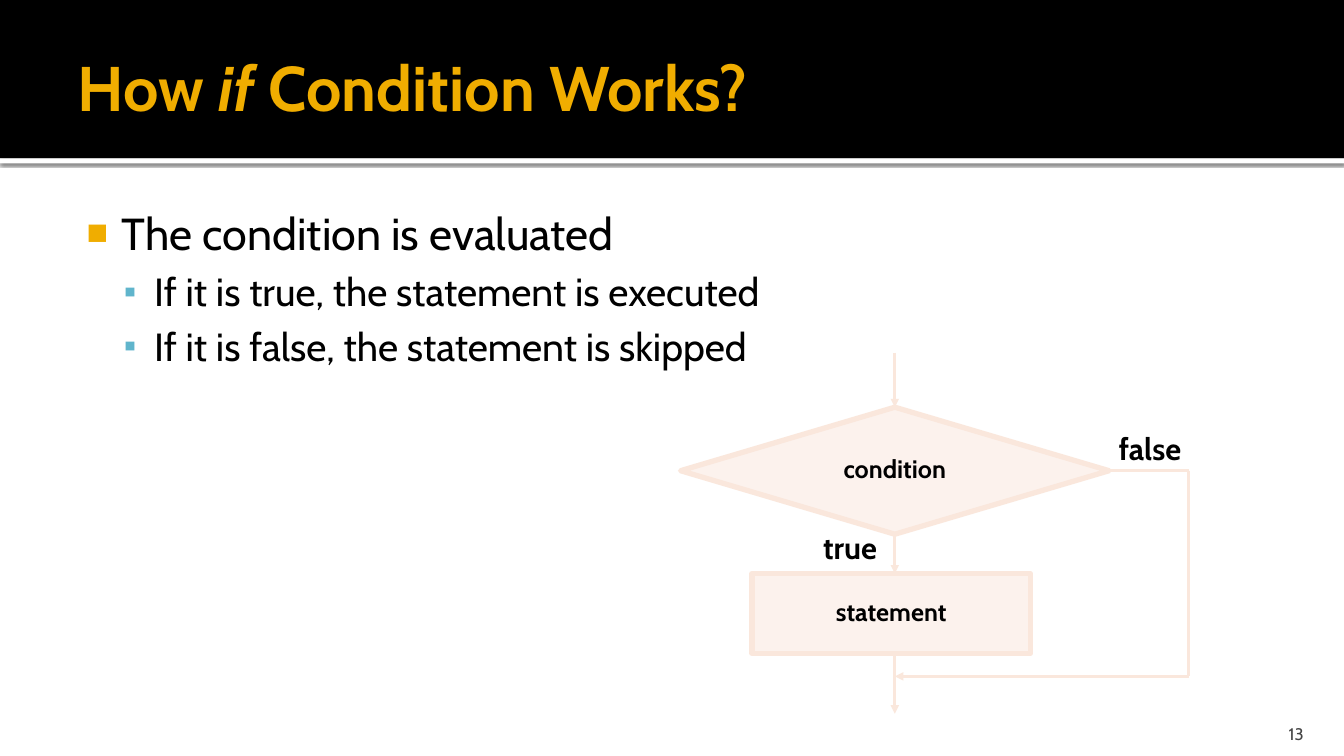
from lxml import etree
from pptx import Presentation
from pptx.dml.color import RGBColor
from pptx.enum.shapes import MSO_CONNECTOR, MSO_SHAPE
from pptx.enum.text import MSO_ANCHOR, PP_ALIGN
from pptx.oxml.ns import qn
from pptx.util import Inches, Pt

RECT = MSO_SHAPE.RECTANGLE
CHOICE = MSO_SHAPE.FLOWCHART_DECISION
LINE = MSO_CONNECTOR.STRAIGHT
TOP, MIDDLE, BOTTOM = MSO_ANCHOR.TOP, MSO_ANCHOR.MIDDLE, MSO_ANCHOR.BOTTOM
LEFT, CENTER, RIGHT = PP_ALIGN.LEFT, PP_ALIGN.CENTER, PP_ALIGN.RIGHT
FONT = "Cabin"
COLORS = {"black": "000000", "white": "FFFFFF", "gold": "F0AD00",
          "blue": "60B5CC", "peach": "FAE7DC", "gray": "454545"}


def color(name):
    return RGBColor.from_string(COLORS[name])


def add(parent, tag, **attrs):
    return etree.SubElement(parent, qn(tag), attrs)


def style(para, size, tone="black", bold=False, align=LEFT):
    para.alignment = align
    for run in para.runs:
        font = run.font
        font.name, font.size, font.bold = FONT, Pt(size), bold
        font.color.rgb = color(tone)


def frame(shape, anchor, insets=(0.1, 0.05, 0.1, 0.05)):
    text = shape.text_frame
    text.word_wrap = True
    text.vertical_anchor = anchor
    (text.margin_left, text.margin_top,
     text.margin_right, text.margin_bottom) = map(Inches, insets)
    return text


def text_box(slide, box, anchor=TOP, insets=(0.1, 0.05, 0.1, 0.05)):
    return frame(slide.shapes.add_textbox(*map(Inches, box)), anchor, insets)


def add_band(slide, box, tone):
    band = slide.shapes.add_shape(RECT, *map(Inches, box))
    band.shadow.inherit = False
    band.fill.solid()
    band.fill.fore_color.rgb = color(tone)
    band.line.fill.background()
    return band


def add_shade(shape):
    effects = shape._element.spPr.find(qn("a:effectLst"))
    shade = add(effects, "a:outerShdw", blurRad=str(Pt(2.5)),
                dist=str(Pt(0.8)), dir="5400000", rotWithShape="0")
    tone = add(shade, "a:srgbClr", val=COLORS["black"])
    add(tone, "a:alpha", val="60000")


def add_title(slide):
    text = text_box(slide, (0.67, 0.17, 9.17, 1.37), MIDDLE,
                    (0.1, 0.05, 0.05, 0.05))
    para = text.paragraphs[0]
    for words in ("How ", "if", " Condition Works?"):
        run = para.add_run()
        run.text = words
        run.font.italic = words == "if"
    style(para, 45, "gold", True)


def add_bullet(para, level, mark, tone, scale, margin, indent):
    para.level = level
    props = para._p.get_or_add_pPr()
    props.set("marL", str(Inches(margin)))
    props.set("indent", str(Inches(indent)))
    add(add(props, "a:buClr"), "a:srgbClr", val=COLORS[tone])
    add(props, "a:buSzPct", val=str(scale * 1000))
    add(props, "a:buFont", typeface="Arial")
    add(props, "a:buChar", char=mark)


def add_points(slide):
    text = text_box(slide, (0.67, 1.94, 12, 5.06),
                    insets=(0.06, 0.1, 0.1, 0.05))
    head = text.paragraphs[0]
    head.text = "The condition is evaluated"
    add_bullet(head, 0, "■", "gold", 80, 0.48, -0.35)
    style(head, 32)
    for words in ("If it is true, the statement is executed",
                  "If it is false, the statement is skipped"):
        para = text.add_paragraph()
        para.text = words
        para.space_before = Pt(5.6)
        add_bullet(para, 1, "▪", "blue", 90, 0.8, -0.3)
        style(para, 28)


def add_node(slide, kind, box, words):
    node = slide.shapes.add_shape(kind, *map(Inches, box))
    node.shadow.inherit = False
    node.fill.solid()
    node.fill.fore_color.rgb = color("peach")
    fill = node._element.spPr.find(qn("a:solidFill"))
    add(fill[0], "a:alpha", val="50000")
    node.line.color.rgb = color("peach")
    node.line.width = Pt(3.78)
    text = frame(node, MIDDLE)
    text.text = words
    text.paragraphs[0].line_spacing = 0.85
    style(text.paragraphs[0], 18, bold=True, align=CENTER)
    return node


def add_label(slide, box, words):
    text = text_box(slide, box)
    text.text = words
    text.paragraphs[0].line_spacing = 0.85
    style(text.paragraphs[0], 22, bold=True, align=CENTER)


def add_link(slide, start, end, arrow=True):
    link = slide.shapes.add_connector(LINE, *map(Inches, start + end))
    link.line.color.rgb = color("peach")
    link.line.width = Pt(2)
    if arrow:
        add(link.line._get_or_add_ln(), "a:tailEnd", type="triangle")
    add(link._element.spPr, "a:effectLst")
    return link


def add_flow(slide):
    axis, side, turn, join = 8.875, 11.79, 4.67, 6.71
    add_label(slide, (7.92, 5.25, 1.02, 0.42), "true")
    choice = add_node(slide, CHOICE, (6.75, 4.04, 4.25, 1.26), "condition")
    yes = add_link(slide, (axis, 5.3), (axis, 5.69))
    yes.begin_connect(choice, 2)
    add_node(slide, RECT, (7.46, 5.69, 2.76, 0.79), "statement")
    add_link(slide, (axis, 6.48), (axis, 7.08))
    add_link(slide, (side, join), (axis, join))
    no = add_link(slide, (11, turn), (side, turn), False)
    no.begin_connect(choice, 3)
    add_label(slide, (10.93, 4.27, 0.95, 0.42), "false")
    entry = add_link(slide, (axis, 3.5), (axis, 4.04))
    entry.end_connect(choice, 0)
    add_link(slide, (side, turn), (side, join), False)


def add_number(slide):
    text = text_box(slide, (11.96, 7.08, 1.07, 0.3), BOTTOM,
                    (0.1, 0.05, 0.1, 0))
    text.text = "13"
    style(text.paragraphs[0], 12, "gray", align=RIGHT)


def main():
    deck = Presentation()
    deck.slide_width, deck.slide_height = Inches(13.33), Inches(7.5)
    slide = deck.slides.add_slide(deck.slide_layouts[6])
    add_shade(add_band(slide, (0, 1.57, 13.33, 0.05), "white"))
    add_band(slide, (0, 0, 13.33, 1.57), "black")
    add_title(slide)
    add_points(slide)
    add_number(slide)
    add_flow(slide)
    deck.save("out.pptx")


if __name__ == "__main__":
    main()
